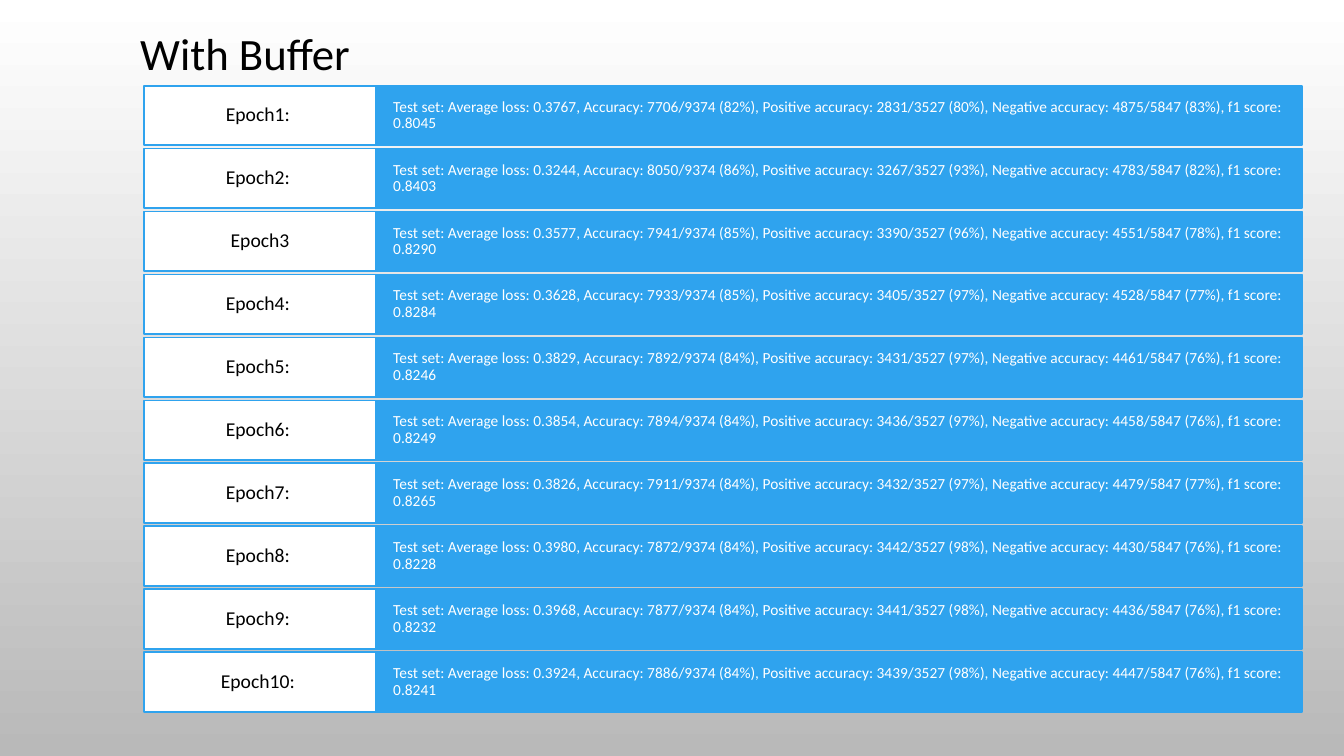
from pptx import Presentation
from pptx.dml.color import RGBColor
from pptx.enum.shapes import MSO_SHAPE
from pptx.enum.text import MSO_ANCHOR as ANCHOR, MSO_AUTO_SIZE as AUTO, PP_ALIGN as ALIGN
from pptx.util import Inches, Pt

BLUE, WHITE, BLACK, GREY = "2FA3EE", "FFFFFF", "000000", "B9B9B9"
POSITIVES, NEGATIVES = 3527, 5847
TOP, BOTTOM_ROW, ROW_H = 0.85, 6.47, 0.59
LABEL_X, LABEL_W, RESULT_X, RESULT_W = 1.43, 2.3, 3.72, 9.19

EPOCHS = [
    ("Epoch1: ", "0.3767", 2831, 4875, "0.8045"),
    ("Epoch2: ", "0.3244", 3267, 4783, "0.8403"),
    ("Epoch3", "0.3577", 3390, 4551, "0.8290"),
    ("Epoch4: ", "0.3628", 3405, 4528, "0.8284"),
    ("Epoch5: ", "0.3829", 3431, 4461, "0.8246"),
    ("Epoch6: ", "0.3854", 3436, 4458, "0.8249"),
    ("Epoch7: ", "0.3826", 3432, 4479, "0.8265"),
    ("Epoch8: ", "0.3980", 3442, 4430, "0.8228"),
    ("Epoch9: ", "0.3968", 3441, 4436, "0.8232"),
    ("Epoch10: ", "0.3924", 3439, 4447, "0.8241"),
]


def rgb(color):
    return RGBColor.from_string(color)


def share(count, total):
    return f"{count}/{total} ({count / total:.0%})"


def result_text(loss, positive, negative, f1):
    return (f"Test set: Average loss: {loss}, "
            f"Accuracy: {share(positive + negative, POSITIVES + NEGATIVES)}, "
            f"Positive accuracy: {share(positive, POSITIVES)}, "
            f"Negative accuracy: {share(negative, NEGATIVES)}, f1 score: {f1}")


class Deck:
    """Holds the style and the current slide, and draws its elements."""

    font = "Calibri"

    def __init__(self, prs):
        self.slide = prs.slides.add_slide(prs.slide_layouts[5])

    def background(self, top, bottom):
        fill = self.slide.background.fill
        fill.gradient()
        fill.gradient_angle = 270
        for stop, color, position in zip(fill.gradient_stops, (top, bottom), (0, 1)):
            stop.color.rgb = rgb(color)
            stop.position = position

    def set_text(self, tf, text, size, color, align=ALIGN.LEFT, anchor=ANCHOR.MIDDLE,
                 inset=(0.1, 0.05), spacing=1.0):
        tf.word_wrap = True
        tf.vertical_anchor = anchor
        tf.margin_left = tf.margin_right = Inches(inset[0])
        tf.margin_top = tf.margin_bottom = Inches(inset[1])
        p = tf.paragraphs[0]
        p.alignment = align
        p.line_spacing = spacing
        r = p.add_run()
        r.text = text
        r.font.name = self.font
        r.font.size = Pt(size)
        r.font.color.rgb = rgb(color)

    def title(self, text, x, y, w, h):
        sp = self.slide.shapes.title
        sp.left, sp.top, sp.width, sp.height = map(Inches, (x, y, w, h))
        self.set_text(sp.text_frame, text, 32, BLACK, anchor=ANCHOR.TOP)
        sp.text_frame.auto_size = AUTO.SHAPE_TO_FIT_TEXT

    def box(self, text, x, y, w, h, fill, **style):
        sp = self.slide.shapes.add_shape(MSO_SHAPE.RECTANGLE, *map(Inches, (x, y, w, h)))
        sp.shadow.inherit = False
        sp.fill.solid()
        sp.fill.fore_color.rgb = rgb(fill)
        sp.line.color.rgb = rgb(BLUE)
        sp.line.width = Pt(1.25)
        self.set_text(sp.text_frame, text, spacing=0.9, **style)


def main():
    prs = Presentation()
    prs.slide_width, prs.slide_height = Inches(13.33), Inches(7.5)
    deck = Deck(prs)
    deck.background(WHITE, GREY)
    pitch = (BOTTOM_ROW - TOP) / (len(EPOCHS) - 1)
    for i, (label, *scores) in enumerate(EPOCHS):
        y = TOP + i * pitch
        deck.box(result_text(*scores), RESULT_X, y, RESULT_W, ROW_H, BLUE,
                 size=11, color=WHITE, inset=(0.18, 0.15))
        deck.box(label, LABEL_X, y, LABEL_W, ROW_H, WHITE,
                 size=14, color=BLACK, align=ALIGN.CENTER, inset=(0.12, 0.06))
    deck.title("With Buffer", 1.29, 0.21, 4.09, 0.64)
    prs.save("out.pptx")


if __name__ == "__main__":
    main()
